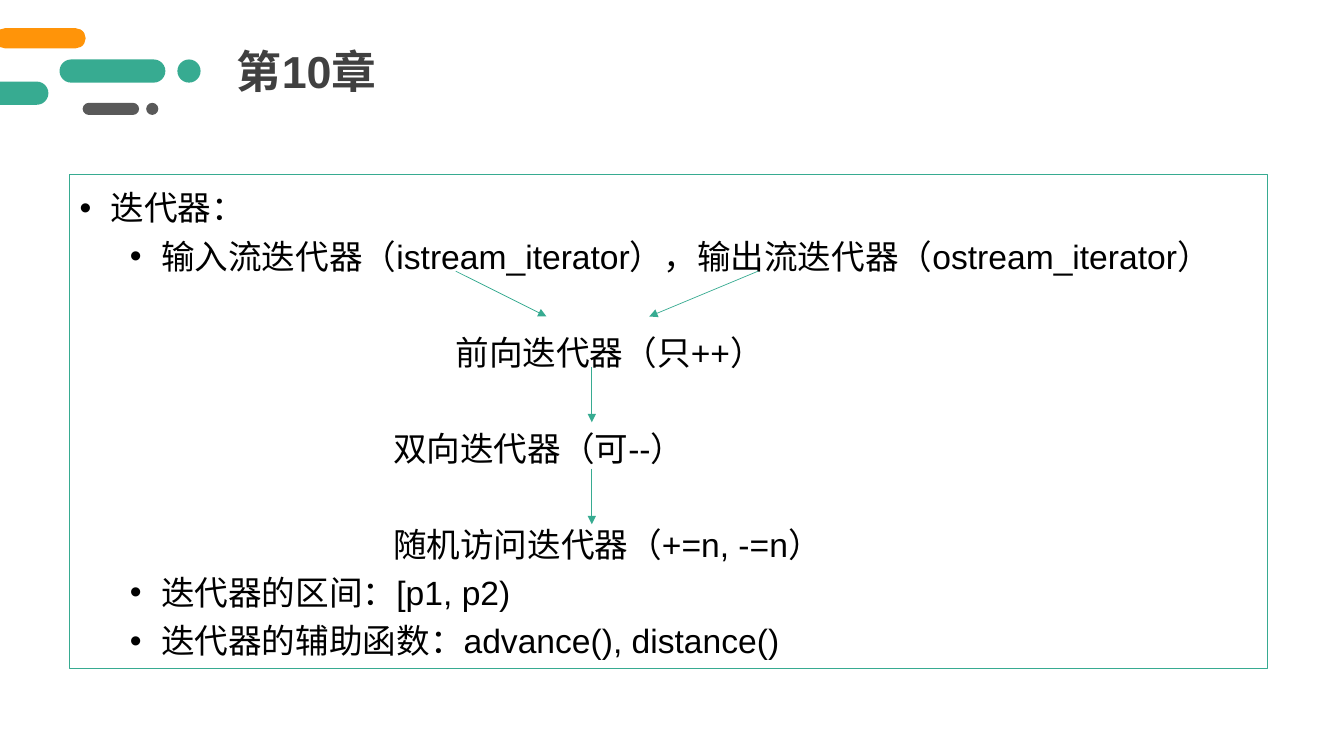
from dataclasses import dataclass

from lxml import etree
from pptx import Presentation
from pptx.dml.color import RGBColor
from pptx.enum.lang import MSO_LANGUAGE_ID
from pptx.enum.shapes import MSO_CONNECTOR, MSO_SHAPE
from pptx.enum.text import MSO_ANCHOR, MSO_AUTO_SIZE, PP_ALIGN
from pptx.oxml.ns import qn
from pptx.util import Inches, Pt

PILL = MSO_SHAPE.ROUNDED_RECTANGLE
DOT = MSO_SHAPE.OVAL
RECT = MSO_SHAPE.RECTANGLE
STRAIGHT = MSO_CONNECTOR.STRAIGHT
TOP = MSO_ANCHOR.TOP
LEFT = PP_ALIGN.LEFT
NO_FIT = MSO_AUTO_SIZE.NONE
CHINESE = MSO_LANGUAGE_ID.SIMPLIFIED_CHINESE


@dataclass(frozen=True)
class Theme:
    font: str = "Arial"
    green: RGBColor = RGBColor(0x37, 0xAB, 0x91)
    orange: RGBColor = RGBColor(0xFF, 0x94, 0x09)
    gray: RGBColor = RGBColor(0x59, 0x59, 0x59)
    heading: RGBColor = RGBColor(0x40, 0x40, 0x40)
    text: RGBColor = RGBColor(0, 0, 0)
    heading_size: Pt = Pt(32)
    body_size: Pt = Pt(24)
    row_gap: Pt = Pt(34)
    frame_width: Pt = Pt(0.75)
    arrow_width: Pt = Pt(0.5)


THEME = Theme()
HANGING = 0.31

ORNAMENTS = [
    (PILL, 0.59, 0.59, 1.05, 0.23, THEME.green),
    (DOT, 1.76, 0.59, 0.23, 0.23, THEME.green),
    (PILL, 0.82, 1.02, 0.56, 0.12, THEME.gray),
    (DOT, 1.45, 1.02, 0.12, 0.12, THEME.gray),
    (PILL, -0.17, 0.81, 0.65, 0.23, THEME.green),
    (PILL, -0.05, 0.28, 0.9, 0.2, THEME.orange),
]

# text, level, left indent, bulleted
OUTLINE = [
    ("迭代器：", 0, 0.31, True),
    ("输入流迭代器（istream_iterator），输出流迭代器（ostream_iterator）", 1, 0.81, True),
    ("前向迭代器（只++）", 1, 3.73, False),
    ("双向迭代器（可--）", 1, 3.11, False),
    ("随机访问迭代器（+=n, -=n）", 1, 3.11, False),
    ("迭代器的区间：[p1, p2)", 1, 0.81, True),
    ("迭代器的辅助函数：advance(), distance()", 1, 0.81, True),
]

ARROWS = [
    (4.52, 2.69, 5.42, 3.14),
    (7.52, 2.69, 6.44, 3.14),
    (5.87, 3.64, 5.87, 4.19),
    (5.87, 4.65, 5.87, 5.2),
]


def style_runs(p, size, color, bold=False):
    for r in p.runs:
        r.font.name = THEME.font
        r.font.size = size
        r.font.bold = bold
        r.font.color.rgb = color
        r.font.language_id = CHINESE


def add_ornament(slide, kind, x, y, w, h, color):
    s = slide.shapes.add_shape(kind, Inches(x), Inches(y), Inches(w), Inches(h))
    s.shadow.inherit = False
    s.fill.solid()
    s.fill.fore_color.rgb = color
    s.line.fill.background()
    if kind == PILL:
        s.adjustments[0] = 0.5


def set_title(slide, text):
    s = slide.shapes.title
    s.left, s.top, s.width, s.height = Inches(2.25), Inches(0.38), Inches(1.6), Inches(0.64)
    tf = s.text_frame
    tf.text = text
    tf.word_wrap = True
    tf.auto_size = NO_FIT
    tf.vertical_anchor = TOP
    p = tf.paragraphs[0]
    p.alignment = LEFT
    style_runs(p, THEME.heading_size, THEME.heading, True)


def indent(p, left, bulleted):
    pPr = p._p.get_or_add_pPr()
    pPr.set("marL", str(Inches(left)))
    pPr.set("indent", str(Inches(-HANGING) if bulleted else 0))
    if bulleted:
        etree.SubElement(pPr, qn("a:buFont")).set("typeface", THEME.font)
        etree.SubElement(pPr, qn("a:buChar")).set("char", "•")
    else:
        etree.SubElement(pPr, qn("a:buNone"))


def add_outline(slide, items):
    s = slide.shapes.add_shape(RECT, Inches(0.69), Inches(1.73), Inches(11.88), Inches(4.9))
    s.shadow.inherit = False
    s.fill.background()
    s.line.color.rgb = THEME.green
    s.line.width = THEME.frame_width
    tf = s.text_frame
    tf.word_wrap = True
    tf.vertical_anchor = TOP
    for i, (text, level, left, bulleted) in enumerate(items):
        p = tf.add_paragraph() if i else tf.paragraphs[0]
        p.text = text
        p.level = level
        p.alignment = LEFT
        p.line_spacing = 1.2
        p.space_before = Pt(0) if bulleted else THEME.row_gap
        indent(p, left, bulleted)
        style_runs(p, THEME.body_size, THEME.text)


def add_arrow(slide, x1, y1, x2, y2):
    c = slide.shapes.add_connector(STRAIGHT, Inches(x1), Inches(y1), Inches(x2), Inches(y2))
    c.line.color.rgb = THEME.green
    c.line.width = THEME.arrow_width
    etree.SubElement(c.line._get_or_add_ln(), qn("a:tailEnd")).set("type", "triangle")
    etree.SubElement(c._element.spPr, qn("a:effectLst"))


def main():
    prs = Presentation()
    prs.slide_width, prs.slide_height = Inches(13.33), Inches(7.5)
    slide = prs.slides.add_slide(prs.slide_layouts[5])
    for ornament in ORNAMENTS:
        add_ornament(slide, *ornament)
    set_title(slide, "第10章")
    add_outline(slide, OUTLINE)
    for arrow in ARROWS:
        add_arrow(slide, *arrow)
    prs.save("out.pptx")


if __name__ == "__main__":
    main()
